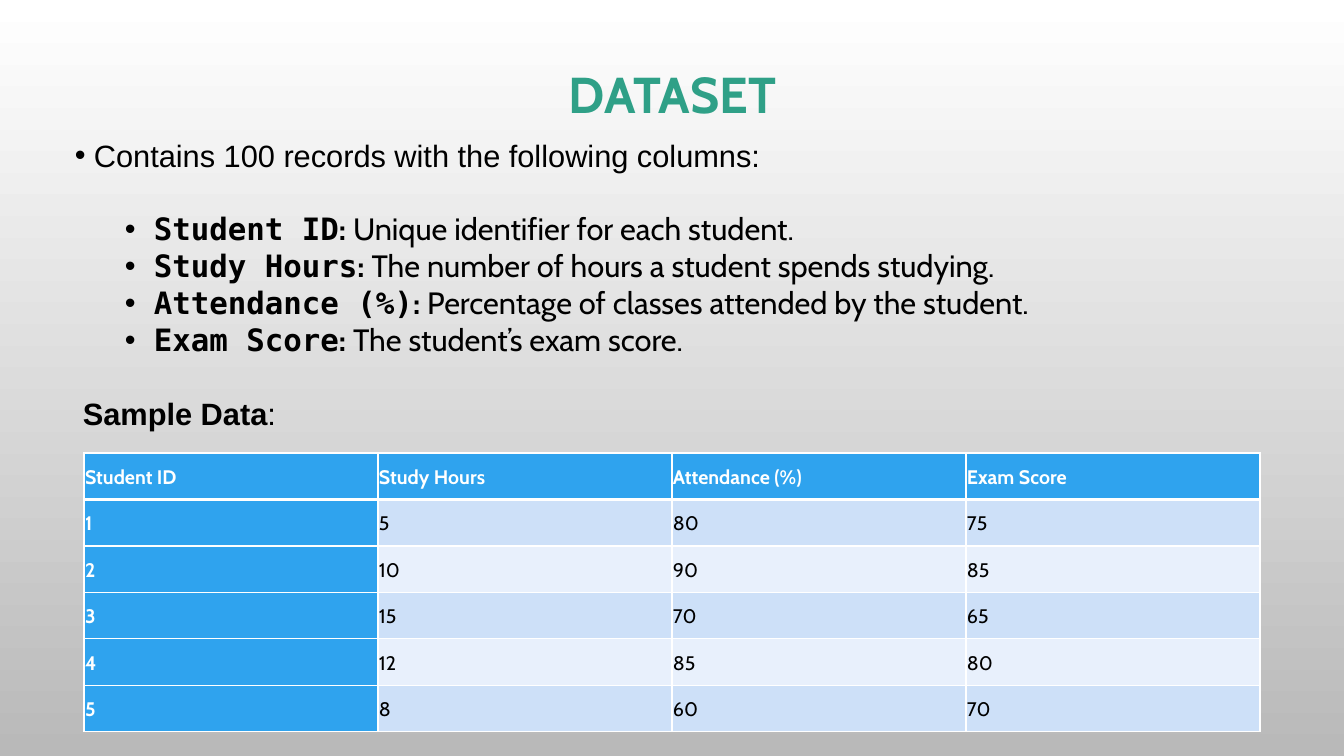
import lxml.etree
import pptx
import pptx.dml.color
import pptx.enum.text
import pptx.oxml.ns
import pptx.util

EMU_PER_PX = 914400 / 100.8
BLACK = pptx.dml.color.RGBColor(0x00, 0x00, 0x00)
WHITE = pptx.dml.color.RGBColor(0xFF, 0xFF, 0xFF)
GREY = pptx.dml.color.RGBColor(0xB9, 0xB9, 0xB9)
GREEN = pptx.dml.color.RGBColor(0x2F, 0xA0, 0x87)
BLUE = pptx.dml.color.RGBColor(0x2F, 0xA3, 0xEE)
BANDS = (pptx.dml.color.RGBColor(0xE8, 0xF0, 0xFC),
         pptx.dml.color.RGBColor(0xCD, 0xE0, 0xF8))
MIDDLE = pptx.enum.text.MSO_ANCHOR.MIDDLE

COLUMNS = [
    ("Student ID", "Unique identifier for each student."),
    ("Study Hours", "The number of hours a student spends studying."),
    ("Attendance (%)", "Percentage of classes attended by the student."),
    ("Exam Score", "The student’s exam score."),
]
RECORDS = [
    (1, 5, 80, 75),
    (2, 10, 90, 85),
    (3, 15, 70, 65),
    (4, 12, 85, 80),
    (5, 8, 60, 70),
]


def px(n):
    return pptx.util.Emu(round(n * EMU_PER_PX))


def sub(parent, tag, **attrs):
    return lxml.etree.SubElement(parent, pptx.oxml.ns.qn(tag), **attrs)


def set_font(font, size, color, name=None, bold=None):
    font.size = pptx.util.Pt(size)
    font.color.rgb = color
    font.name = name
    font.bold = bold


def set_background(slide, top, bottom):
    fill = slide.background.fill
    fill.gradient()
    fill.gradient_angle = 270
    for stop, color in zip(fill.gradient_stops, (top, bottom)):
        stop.color.rgb = color


def add_text_box(slide, x, y, w, h):
    tf = slide.shapes.add_textbox(px(x), px(y), px(w), px(h)).text_frame
    tf.word_wrap = True
    tf.vertical_anchor = MIDDLE
    return tf


def add_run(p, text, name=None, bold=None):
    r = p.add_run()
    r.text = text
    if name:
        r.font.name = name
    if bold is not None:
        r.font.bold = bold


def indent(p, margin, hanging=0):
    pPr = p._p.get_or_add_pPr()
    pPr.set("marL", str(px(margin)))
    pPr.set("indent", str(px(-hanging)))
    if hanging:
        sub(pPr, "a:buFont", typeface="Arial")
        sub(pPr, "a:buChar", char="•")


def add_title(slide, text):
    p = add_text_box(slide, 93, 24, 1159, 146).paragraphs[0]
    p.alignment = pptx.enum.text.PP_ALIGN.CENTER
    p.line_spacing = 0.9
    set_font(p.font, 36, GREEN, "Cabin", True)
    add_run(p, text)


def add_description(slide):
    tf = add_text_box(slide, 65, 130, 1215, 308)
    gap = pptx.util.Pt(26)

    p = tf.paragraphs[0]
    indent(p, 19, 19)
    p.space_after = gap
    set_font(p.font, 22, BLACK, "Arial")
    add_run(p, "Contains 100 records with the following columns:")

    for name, meaning in COLUMNS:
        p = tf.add_paragraph()
        indent(p, 79, 29)
        set_font(p.font, 22, BLACK)
        add_run(p, name, "DejaVu Sans Mono", True)
        add_run(p, ": ", "Cabin", True)
        add_run(p, meaning, "Cabin")

    p = tf.add_paragraph()
    indent(p, 8)
    p.space_before = gap
    set_font(p.font, 22, BLACK, "Arial")
    add_run(p, "Sample Data", bold=True)
    add_run(p, ":")


def set_borders(cell, widths):
    tcPr = cell._tc.get_or_add_tcPr()
    for side, width in widths.items():
        ln = sub(tcPr, f"a:ln{side}", w=str(pptx.util.Pt(width)))
        sub(sub(ln, "a:solidFill"), "a:srgbClr", val=str(WHITE))


def fill_cell(cell, text, row, col):
    strong = row == 0 or col == 0
    set_borders(cell, {"L": 1, "R": 1, "T": 3 if row == 1 else 1,
                       "B": 3 if row == 0 else 1})
    cell.fill.solid()
    cell.fill.fore_color.rgb = BLUE if strong else BANDS[row % 2]
    cell.vertical_anchor = MIDDLE
    cell.margin_left = cell.margin_right = px(1)
    cell.margin_top = cell.margin_bottom = px(1)
    p = cell.text_frame.paragraphs[0]
    p.line_spacing = 1.07
    p.space_after = pptx.util.Pt(8)
    set_font(p.font, 14, WHITE if strong else BLACK, "Cabin", strong)
    add_run(p, str(text))


def add_sample_table(slide):
    rows = [[name for name, _ in COLUMNS], *RECORDS]
    table = slide.shapes.add_table(len(rows), len(COLUMNS), px(84), px(453),
                                   px(1176), px(279)).table
    for i, values in enumerate(rows):
        for j, value in enumerate(values):
            fill_cell(table.cell(i, j), value, i, j)


def main():
    prs = pptx.Presentation()
    prs.slide_width, prs.slide_height = px(1344), px(756)
    slide = prs.slides.add_slide(prs.slide_layouts[6])
    set_background(slide, WHITE, GREY)
    add_title(slide, "DATASET")
    add_description(slide)
    add_sample_table(slide)
    prs.save("out.pptx")


if __name__ == "__main__":
    main()
